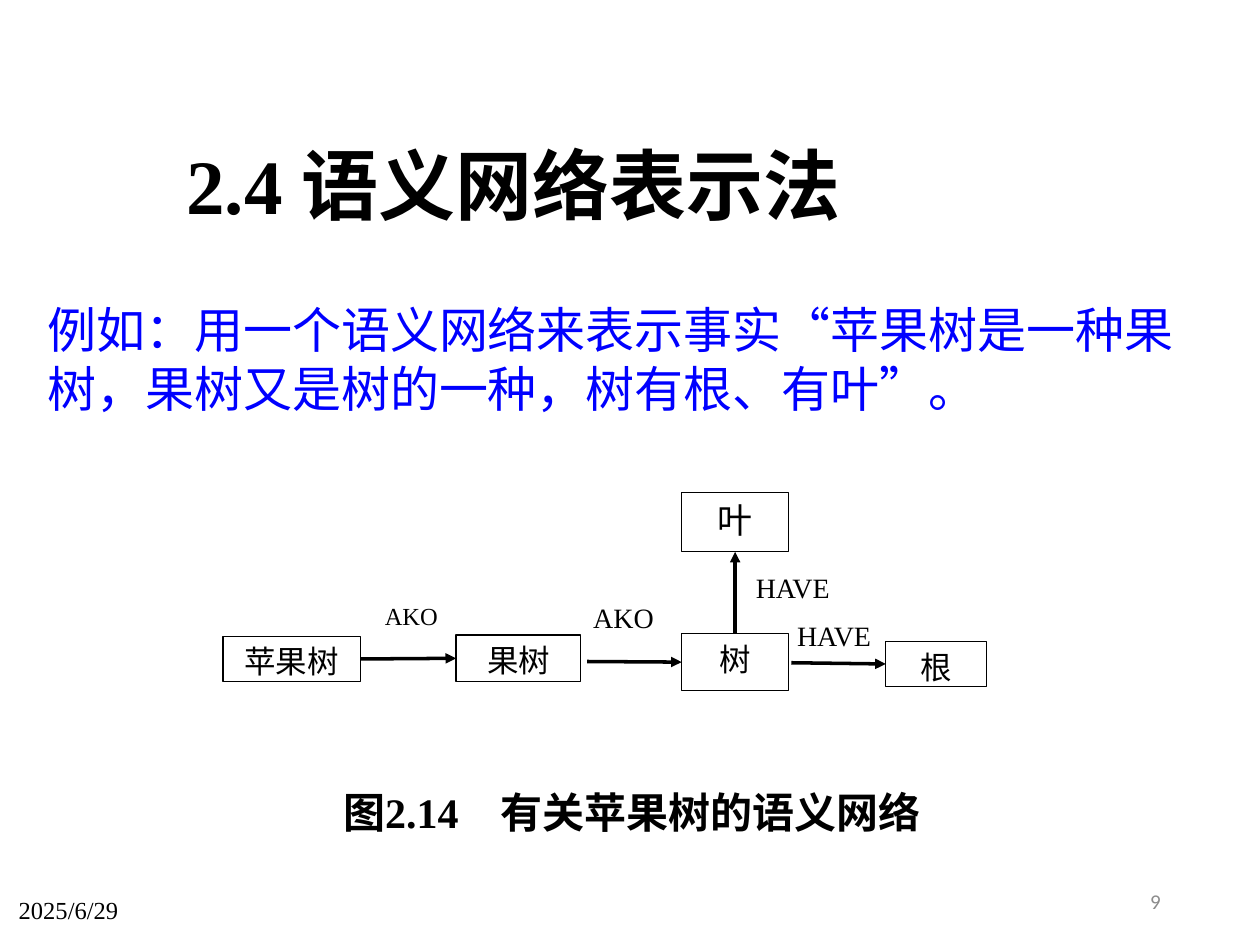
from lxml import etree
from pptx import Presentation
from pptx.dml.color import RGBColor
from pptx.enum import shapes, text
from pptx.oxml.ns import qn
from pptx.util import Inches, Pt

BLACK = RGBColor(0x00, 0x00, 0x00)
WHITE = RGBColor(0xFF, 0xFF, 0xFF)
BLUE = RGBColor(0x00, 0x00, 0xFF)
GRAY = RGBColor(0x8C, 0x8C, 0x8C)
LEFT, CENTER, RIGHT = text.PP_ALIGN.LEFT, text.PP_ALIGN.CENTER, text.PP_ALIGN.RIGHT
TOP, MIDDLE = text.MSO_ANCHOR.TOP, text.MSO_ANCHOR.MIDDLE

prs = Presentation()
prs.slide_width, prs.slide_height = Inches(10), Inches(7.5)
s = prs.slides.add_slide(prs.slide_layouts[6])


def add_text(words, box, size, color=BLACK, bold=False, align=LEFT,
             anchor=TOP, font="Times New Roman", framed=False):
    """Add a text box, or a white rectangle with a hairline if framed."""
    box = [Inches(v) for v in box]
    if framed:
        sp = s.shapes.add_shape(shapes.MSO_SHAPE.RECTANGLE, *box)
        sp.shadow.inherit = False
        sp.fill.solid()
        sp.fill.fore_color.rgb = WHITE
        sp.line.color.rgb = BLACK
        sp.line.width = Pt(0)
    else:
        sp = s.shapes.add_textbox(*box)
    tf = sp.text_frame
    tf.word_wrap = True
    tf.vertical_anchor = anchor
    p = tf.paragraphs[0]
    p.alignment = align
    r = p.add_run()
    r.text = words
    r.font.name, r.font.size, r.font.bold = font, Pt(size), bold
    r.font.color.rgb = color
    return sp


def add_arrow(start, end, source=None, target=None):
    """Draw an arrow; source and target are (shape, side) pairs to join."""
    cx = s.shapes.add_connector(shapes.MSO_CONNECTOR.STRAIGHT,
                                *[Inches(v) for v in start + end])
    if source:
        cx.begin_connect(*source)
    if target:
        cx.end_connect(*target)
    cx.line.color.rgb = BLACK
    cx.line.width = Pt(0)
    etree.SubElement(cx.line._get_or_add_ln(), qn("a:tailEnd"), type="triangle")
    etree.SubElement(cx._element.spPr, qn("a:effectLst"))


add_text("2025/6/29", (0.05, 6.97, 2.08, 0.5), 14, anchor=MIDDLE)
add_text("2.4 语义网络表示法", (1.38, 1.04, 7.72, 0.83), 44, bold=True)
add_text("例如：用一个语义网络来表示事实“苹果树是一种果树，果树又是树的一种，树有根、有叶”。",
         (0.28, 2.33, 9.37, 1.04), 28, color=BLUE)

# Network nodes
nodes = {}
for name, box, size in [
    ("苹果树", (1.77, 5.05, 1.09, 0.36), 18),
    ("果树", (3.62, 5.04, 0.99, 0.37), 18),
    ("树", (5.41, 5.03, 0.85, 0.45), 18),
    ("根", (7.03, 5.09, 0.8, 0.36), 18),
    ("叶", (5.41, 3.91, 0.85, 0.47), 20),
]:
    nodes[name] = add_text(name, box, size, align=CENTER, framed=True)

# Relations between nodes
add_arrow((2.87, 5.23), (3.62, 5.23), (nodes["苹果树"], 3), (nodes["果树"], 1))
add_arrow((4.66, 5.25), (5.41, 5.25), target=(nodes["树"], 1))
add_arrow((6.28, 5.26), (7.03, 5.26), target=(nodes["根"], 1))
add_arrow((5.83, 5.03), (5.83, 4.38), (nodes["树"], 0), (nodes["叶"], 2))

for label, box, size, align in [
    ("AKO", (2.87, 4.72, 0.79, 0.34), 14, CENTER),
    ("AKO", (4.61, 4.72, 0.75, 0.37), 16, LEFT),
    ("HAVE", (6.12, 4.86, 1, 0.37), 16, CENTER),
    ("HAVE", (5.9, 4.48, 0.94, 0.46), 16, LEFT),
]:
    add_text(label, box, size, align=align)

add_text("图2.14　有关苹果树的语义网络", (1.77, 6.19, 6.49, 0.47), 24,
         bold=True, align=CENTER)
add_text("9", (7.06, 6.95, 2.25, 0.4), 12, color=GRAY, align=RIGHT,
         anchor=MIDDLE, font="Calibri")

prs.save("out.pptx")
